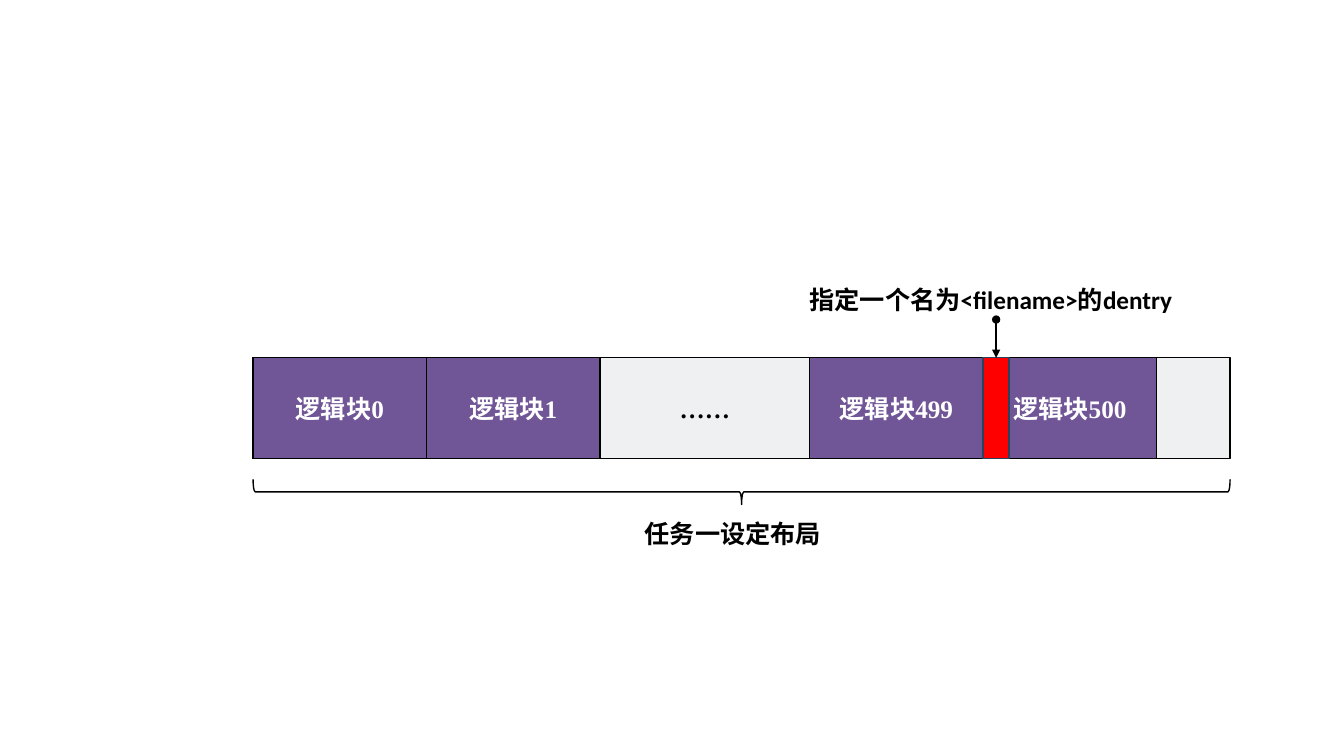
from dataclasses import dataclass
from lxml.etree import SubElement
from pptx import Presentation
from pptx.dml.color import RGBColor
from pptx.enum.shapes import MSO_CONNECTOR, MSO_SHAPE
from pptx.enum.text import MSO_ANCHOR, PP_ALIGN
from pptx.oxml.ns import qn
from pptx.util import Inches, Pt


@dataclass(frozen=True)
class Theme:
    block: str = "705697"
    empty: str = "EFF0F1"
    dentry: str = "FF0000"
    dentry_edge: str = "28445D"
    ink: str = "000000"
    light: str = "FFFFFF"
    block_font: str = "Times New Roman"
    label_font: str = "Calibri"
    size: int = 18
    line: int = 1


@dataclass(frozen=True)
class Box:
    left: float
    top: float
    width: float
    height: float

    def lengths(self):
        return [Inches(value) for value in (self.left, self.top, self.width, self.height)]


THEME = Theme()
BLOCK_WIDTH = 1.72
GAP_WIDTH = 2.08
DENTRY_WIDTH = 0.26
BLOCKS = [
    ("逻辑块0", BLOCK_WIDTH),
    ("逻辑块1", BLOCK_WIDTH),
    ("……", GAP_WIDTH),
    ("逻辑块499", BLOCK_WIDTH),
    ("逻辑块500", BLOCK_WIDTH),
]


def write(frame, text, font, color, align):
    para = frame.paragraphs[0]
    para.alignment = align
    span = para.add_run()
    span.text = text
    span.font.name = font
    span.font.size = Pt(THEME.size)
    span.font.bold = True
    span.font.color.rgb = RGBColor.from_string(color)


def outline(shape, color):
    shape.line.color.rgb = RGBColor.from_string(color)
    shape.line.width = Pt(THEME.line)


def add_cell(page, box, fill, edge=THEME.ink):
    cell = page.shapes.add_shape(MSO_SHAPE.RECTANGLE, *box.lengths())
    cell.shadow.inherit = False
    cell.fill.solid()
    cell.fill.fore_color.rgb = RGBColor.from_string(fill)
    outline(cell, edge)
    return cell


def add_label(page, box, text):
    frame = page.shapes.add_textbox(*box.lengths()).text_frame
    frame.word_wrap = True
    write(frame, text, THEME.label_font, THEME.ink, PP_ALIGN.LEFT)


def add_disk(page, box):
    add_cell(page, box, THEME.empty)
    left = box.left
    for text, width in BLOCKS:
        is_gap = text == "……"
        cell = add_cell(page, Box(left, box.top, width, box.height),
                        THEME.empty if is_gap else THEME.block)
        frame = cell.text_frame
        frame.vertical_anchor = MSO_ANCHOR.MIDDLE
        write(frame, text, THEME.block_font,
              THEME.ink if is_gap else THEME.light, PP_ALIGN.CENTER)
        left += width
    return left - BLOCK_WIDTH


def add_dentry(page, box):
    dentry = add_cell(page, box, THEME.dentry, THEME.dentry_edge)
    center = Inches(box.left + box.width / 2)
    arrow = page.shapes.add_connector(
        MSO_CONNECTOR.STRAIGHT, center, Inches(box.top - 0.38), center, Inches(box.top))
    arrow.end_connect(dentry, 0)
    outline(arrow, THEME.ink)
    line = arrow.line._get_or_add_ln()
    SubElement(line, qn("a:headEnd"), type="oval")
    SubElement(line, qn("a:tailEnd"), type="triangle")
    SubElement(arrow._element.spPr, qn("a:effectLst"))
    add_label(page, Box(box.left - 1.82, box.top - 0.78, 3.9, 0.4),
              "指定一个名为<filename>的dentry")


def add_layout_brace(page, box):
    depth = 0.25
    center_x = box.left + box.width / 2
    center_y = box.top + box.height + 0.33
    brace_box = Box(center_x - depth / 2, center_y - box.width / 2, depth, box.width)
    brace = page.shapes.add_shape(MSO_SHAPE.RIGHT_BRACE, *brace_box.lengths())
    brace.rotation = 90
    brace.shadow.inherit = False
    brace.fill.background()
    outline(brace, THEME.ink)
    add_label(page, Box(center_x - 1.06, center_y + 0.21, 1.99, 0.4), "任务一设定布局")


def add_disk_layout(page, box):
    last_block = add_disk(page, box)
    add_dentry(page, Box(last_block, box.top, DENTRY_WIDTH, box.height))
    add_layout_brace(page, box)


def main():
    deck = Presentation()
    deck.slide_width = Inches(13.33)
    deck.slide_height = Inches(7.5)
    page = deck.slides.add_slide(deck.slide_layouts[6])
    add_disk_layout(page, Box(2.51, 3.55, 9.69, 1))
    deck.save("out.pptx")


if __name__ == "__main__":
    main()
